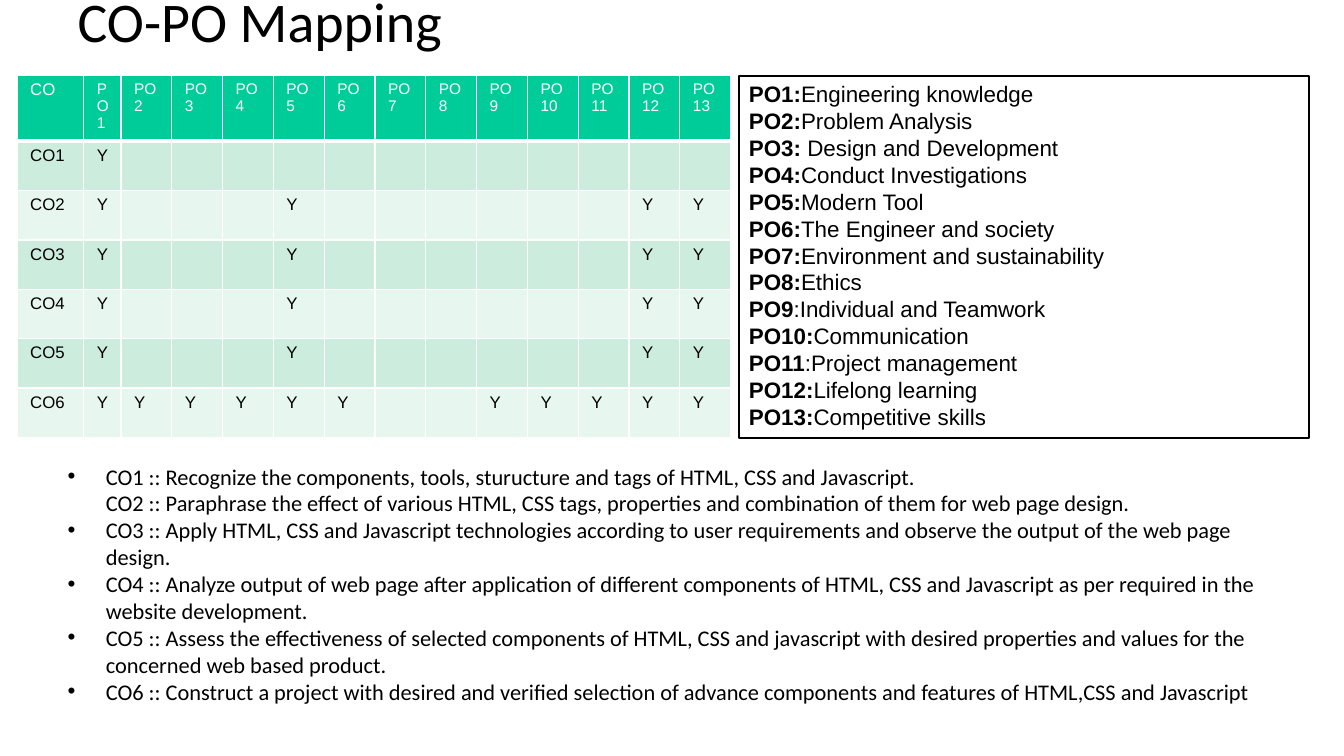
"""Build the CO-PO mapping slide."""
from dataclasses import dataclass

from lxml.etree import SubElement
from pptx import Presentation
from pptx.dml.color import RGBColor
from pptx.enum.shapes import MSO_SHAPE
from pptx.enum.text import MSO_ANCHOR, MSO_AUTO_SIZE, PP_ALIGN
from pptx.oxml.ns import qn
from pptx.util import Inches, Pt


@dataclass(frozen=True)
class Theme:
    heading_font: str = "Calibri"
    grid_font: str = "Arial"
    ink: str = "000000"
    white: str = "FFFFFF"
    header: str = "00CC99"
    bands: tuple = ("CCECDE", "E7F6EF")
    title_size: int = 40
    text_size: int = 16
    cell_size: int = 12
    header_size: int = 11


OUTCOMES = [
    "CO1 :: Recognize the components, tools, sturucture and tags of HTML, CSS and Javascript.\n"
    "CO2 :: Paraphrase the effect of various HTML, CSS tags, properties and combination of them "
    "for web page design.",
    "CO3 :: Apply HTML, CSS and Javascript technologies according to user requirements and "
    "observe the output of the web page design.",
    "CO4 :: Analyze output of web page after application of different components of HTML, CSS "
    "and Javascript as per required in the website development.",
    "CO5 :: Assess the effectiveness of selected components of HTML, CSS and javascript with "
    "desired properties and values for the concerned web based product.",
    "CO6 :: Construct a project with desired and verified selection of advance components and "
    "features of HTML,CSS and Javascript",
]
PROGRAMME = [
    ("PO1:", "Engineering knowledge"),
    ("PO2:", "Problem Analysis"),
    ("PO3: ", "Design and Development"),
    ("PO4:", "Conduct Investigations"),
    ("PO5:", "Modern Tool"),
    ("PO6:", "The Engineer and society"),
    ("PO7:", "Environment and sustainability"),
    ("PO8:", "Ethics"),
    ("PO9", ":Individual and Teamwork"),
    ("PO10:", "Communication"),
    ("PO11", ":Project management"),
    ("PO12:", "Lifelong learning"),
    ("PO13:", "Competitive skills"),
]
HEADERS = ["CO"] + [f"PO{n}" for n in range(1, 11)] + [f"PO\n{n}" for n in range(11, 14)]
MIDDLE = {1, 5, 12, 13}
MAPPING = [{1}, MIDDLE, MIDDLE, MIDDLE, MIDDLE, set(range(1, 14)) - {7, 8}]


class SlideBuilder:
    """Draw themed elements on one slide."""

    def __init__(self, slide, theme):
        self.s = slide
        self.theme = theme

    def run(self, p, text, size, font, color=None, bold=False):
        r = p.add_run()
        r.text = text
        r.font.size = Pt(size)
        r.font.name = font
        r.font.bold = bold
        r.font.color.rgb = RGBColor.from_string(color or self.theme.ink)

    def paragraphs(self, tf, count):
        return [tf.paragraphs[0]] + [tf.add_paragraph() for _ in range(count - 1)]

    def title(self, text, left, top, width, height):
        sp = self.s.shapes.title
        sp.left, sp.top, sp.width, sp.height = map(Inches, (left, top, width, height))
        tf = sp.text_frame
        tf.auto_size = MSO_AUTO_SIZE.NONE
        tf.vertical_anchor = MSO_ANCHOR.MIDDLE
        p = tf.paragraphs[0]
        p.alignment = PP_ALIGN.LEFT
        p.line_spacing = 0.97
        self.run(p, text, self.theme.title_size, self.theme.heading_font)

    def bullets(self, items, left, top, width, height):
        sp = self.s.shapes.add_textbox(*map(Inches, (left, top, width, height)))
        tf = sp.text_frame
        tf.word_wrap = True
        tf.margin_left = tf.margin_right = tf.margin_bottom = 0
        tf.margin_top = Inches(0.17)
        for p, item in zip(self.paragraphs(tf, len(items)), items):
            pPr = p._p.get_or_add_pPr()
            pPr.set("marL", str(Inches(0.38)))
            pPr.set("indent", str(-Inches(0.38)))
            SubElement(pPr, qn("a:buFont"), typeface="Arial")
            SubElement(pPr, qn("a:buChar"), char="•")
            for n, line in enumerate(item.split("\n")):
                if n:
                    p.add_line_break()
                self.run(p, line, self.theme.text_size, self.theme.heading_font)

    def legend(self, items, left, top, width, height):
        sp = self.s.shapes.add_shape(MSO_SHAPE.RECTANGLE,
                                     *map(Inches, (left, top, width, height)))
        sp.shadow.inherit = False
        sp.fill.background()
        sp.line.color.rgb = RGBColor.from_string(self.theme.ink)
        sp.line.width = Pt(1.5)
        tf = sp.text_frame
        tf.word_wrap = True
        tf.vertical_anchor = MSO_ANCHOR.TOP
        for p, (label, name) in zip(self.paragraphs(tf, len(items)), items):
            p.alignment = PP_ALIGN.LEFT
            self.run(p, label, self.theme.text_size, self.theme.grid_font, bold=True)
            self.run(p, name, self.theme.text_size, self.theme.grid_font)

    def borders(self, cell, bottom):
        tcPr = cell._tc.get_or_add_tcPr()
        for side, width in (("L", 1), ("R", 1), ("T", 1), ("B", bottom)):
            ln = SubElement(tcPr, qn(f"a:ln{side}"), w=str(Pt(width)))
            fill = SubElement(ln, qn("a:solidFill"))
            SubElement(fill, qn("a:srgbClr"), val=self.theme.white)

    def cell(self, cell, text, size, color, fill, bottom=1):
        self.borders(cell, bottom)
        cell.fill.solid()
        cell.fill.fore_color.rgb = RGBColor.from_string(fill)
        cell.margin_left = cell.margin_right = Inches(0.13)
        if text:
            lines = text.split("\n")
            for p, line in zip(self.paragraphs(cell.text_frame, len(lines)), lines):
                self.run(p, line, size, self.theme.grid_font, color)

    def matrix(self, headers, mapping, left, top, widths, heights):
        th = self.theme
        table = self.s.shapes.add_table(
            len(heights), len(widths), Inches(left), Inches(top),
            Inches(sum(widths)), Inches(sum(heights))).table
        table.horz_banding = False
        for column, width in zip(table.columns, widths):
            column.width = Inches(width)
        for row, height in zip(table.rows, heights):
            row.height = Inches(height)
        for c, text in enumerate(headers):
            size = th.header_size if c else th.cell_size
            self.cell(table.cell(0, c), text, size, th.white, th.header, bottom=3)
        for n, marked in enumerate(mapping, 1):
            values = [f"CO{n}"] + ["Y" if c in marked else "" for c in range(1, len(headers))]
            for c, text in enumerate(values):
                self.cell(table.cell(n, c), text, th.cell_size, th.ink, th.bands[(n - 1) % 2])


def main():
    prs = Presentation()
    prs.slide_width, prs.slide_height = Inches(13.33), Inches(7.5)
    page = SlideBuilder(prs.slides.add_slide(prs.slide_layouts[5]), Theme())
    page.title("CO-PO Mapping", 0.67, 0.03, 11.82, 0.39)
    page.bullets(OUTCOMES, 0.67, 4.42, 11.82, 2.92)
    page.matrix(HEADERS, MAPPING, 0.17, 0.75, [0.66, 0.37] + [0.504] * 12, [0.63] + [0.49] * 6)
    page.legend(PROGRAMME, 7.33, 0.75, 5.65, 3.6)
    prs.save("out.pptx")


if __name__ == "__main__":
    main()
